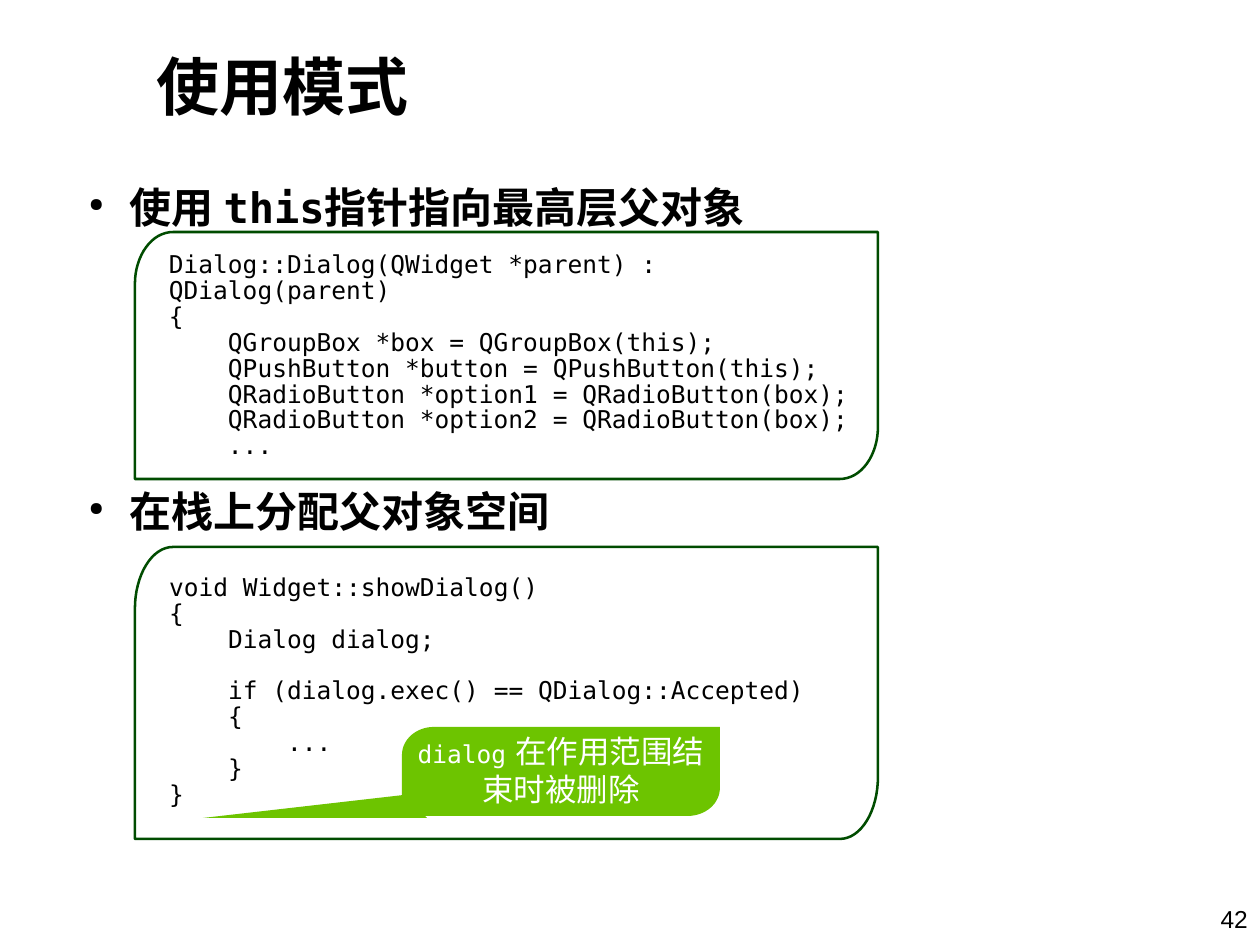
"""Build the slide on usage patterns for parent objects."""
from math import cos, pi, sin

from lxml.etree import SubElement
from pptx import Presentation
from pptx.dml.color import RGBColor
from pptx.enum.text import MSO_ANCHOR, MSO_AUTO_SIZE, PP_ALIGN
from pptx.oxml.ns import qn
from pptx.util import Emu, Pt

EMU_PER_PX = 914400 / 126
BLACK = RGBColor(0x00, 0x00, 0x00)
WHITE = RGBColor(0xFF, 0xFF, 0xFF)
GREEN = RGBColor(0x6D, 0xC4, 0x00)
DARK_GREEN = RGBColor(0x00, 0x4C, 0x00)
SANS, MONO = "Arial", "DejaVu Sans Mono"

DIALOG_CODE = """Dialog::Dialog(QWidget *parent) : QDialog(parent)
{
    QGroupBox *box = QGroupBox(this);
    QPushButton *button = QPushButton(this);
    QRadioButton *option1 = QRadioButton(box);
    QRadioButton *option2 = QRadioButton(box);
    ..."""
WIDGET_CODE = """void Widget::showDialog()
{
    Dialog dialog;

    if (dialog.exec() == QDialog::Accepted)
    {
        ...
    }
}"""


def px(n):
    return Emu(round(n * EMU_PER_PX))


def add_run(p, text, font=SANS, size=14, color=BLACK, bold=False):
    r = p.add_run()
    r.text = text
    r.font.name, r.font.size, r.font.bold = font, Pt(size), bold
    r.font.color.rgb = color


def set_frame(tf, inset=(12, 6), anchor=MSO_ANCHOR.TOP):
    tf.word_wrap = True
    tf.auto_size = MSO_AUTO_SIZE.NONE
    tf.vertical_anchor = anchor
    tf.margin_left = tf.margin_right = px(inset[0])
    tf.margin_top = tf.margin_bottom = px(inset[1])


def add_box(s, left, top, width, height, **frame):
    tf = s.shapes.add_textbox(px(left), px(top), px(width), px(height)).text_frame
    set_frame(tf, **frame)
    return tf


def add_bullet(p):
    pPr = p._p.get_or_add_pPr()
    pPr.set("marL", str(px(55)))
    pPr.set("indent", str(px(-41)))
    SubElement(SubElement(pPr, qn("a:buClr")), qn("a:srgbClr"), val=str(BLACK))
    SubElement(pPr, qn("a:buSzPct"), val="45000")
    SubElement(pPr, qn("a:buChar"), char="●")


def add_code(s, left, top, width, height, code):
    tf = add_box(s, left, top, width, height, inset=(11, 6))
    p, gap = tf.paragraphs[0], 0
    for i, line in enumerate(code.split("\n")):
        if not line:
            gap = 14.5
            continue
        p = tf.add_paragraph() if i else p
        p.line_spacing = 0.88
        if gap:
            p.space_before = Pt(gap)
        gap = 0
        add_run(p, line, font=MONO)


def add_outline(s, points, fill=None, line=None):
    points = [(px(x), px(y)) for x, y in points]
    builder = s.shapes.build_freeform(*points[0], scale=1.0)
    builder.add_line_segments(points[1:], close=True)
    sp = builder.convert_to_shape()
    sp.shadow.inherit = False
    if fill is None:
        sp.fill.background()
    else:
        sp.fill.solid()
        sp.fill.fore_color.rgb = fill
    if line is None:
        sp.line.fill.background()
    else:
        sp.line.color.rgb = line
        sp.line.width = Pt(1.45)
    return sp


def leaf(left, top, width, height, rx, ry, steps=16):
    """Return a rectangle's outline with its top-left and bottom-right corners rounded."""
    right, bottom = left + width, top + height
    angles = [i * pi / 2 / steps for i in range(steps + 1)]
    upper = [(left + rx - rx * cos(a), top + ry - ry * sin(a)) for a in angles]
    lower = [(right - rx + rx * cos(a), bottom - ry + ry * sin(a)) for a in angles]
    return upper + [(right, top)] + lower + [(left, bottom)]


def add_title(s, text):
    sp = s.shapes.title
    sp.left, sp.top, sp.width, sp.height = px(144), px(6), px(819), px(158)
    set_frame(sp.text_frame, anchor=MSO_ANCHOR.MIDDLE)
    p = sp.text_frame.paragraphs[0]
    p.alignment = PP_ALIGN.LEFT
    add_run(p, text, size=36, bold=True)


def add_points(s):
    tf = add_box(s, 63, 175, 1134, 612)
    p = tf.paragraphs[0]
    add_bullet(p)
    add_run(p, "使用 ", size=24, bold=True)
    add_run(p, "this指针指向最高层父对象", font=MONO, size=24, bold=True)
    p = tf.add_paragraph()
    add_bullet(p)
    p.space_before = Pt(145)
    add_run(p, "在栈上分配父对象空间", size=24, bold=True)


def add_callout(s):
    add_outline(s, [(404, 795), (203, 818), (427, 818)], fill=GREEN)
    sp = add_outline(s, leaf(402, 727, 318, 89, 32, 28), fill=GREEN)
    set_frame(sp.text_frame, inset=(14, 8), anchor=MSO_ANCHOR.MIDDLE)
    p = sp.text_frame.paragraphs[0]
    p.alignment = PP_ALIGN.CENTER
    p.line_spacing = 0.98
    add_run(p, "dialog", font=MONO, color=WHITE)
    add_run(p, " 在作用范围结束时被删除", size=18, color=WHITE)


def add_page_number(s, number):
    p = add_box(s, 1057, 898, 203, 47).paragraphs[0]
    p.alignment = PP_ALIGN.RIGHT
    add_run(p, number)


def main():
    prs = Presentation()
    prs.slide_width, prs.slide_height = px(1260), px(945)
    s = prs.slides.add_slide(prs.slide_layouts[5])
    add_title(s, "使用模式")
    add_points(s)
    add_code(s, 158, 570, 675, 270, WIDGET_CODE)
    add_code(s, 158, 247, 742, 226, DIALOG_CODE)
    add_callout(s)
    add_outline(s, leaf(135, 232, 743, 247, 38, 52), line=DARK_GREEN)
    add_outline(s, leaf(135, 547, 743, 292, 38, 62), line=DARK_GREEN)
    add_page_number(s, "42")
    prs.save("out.pptx")


if __name__ == "__main__":
    main()
